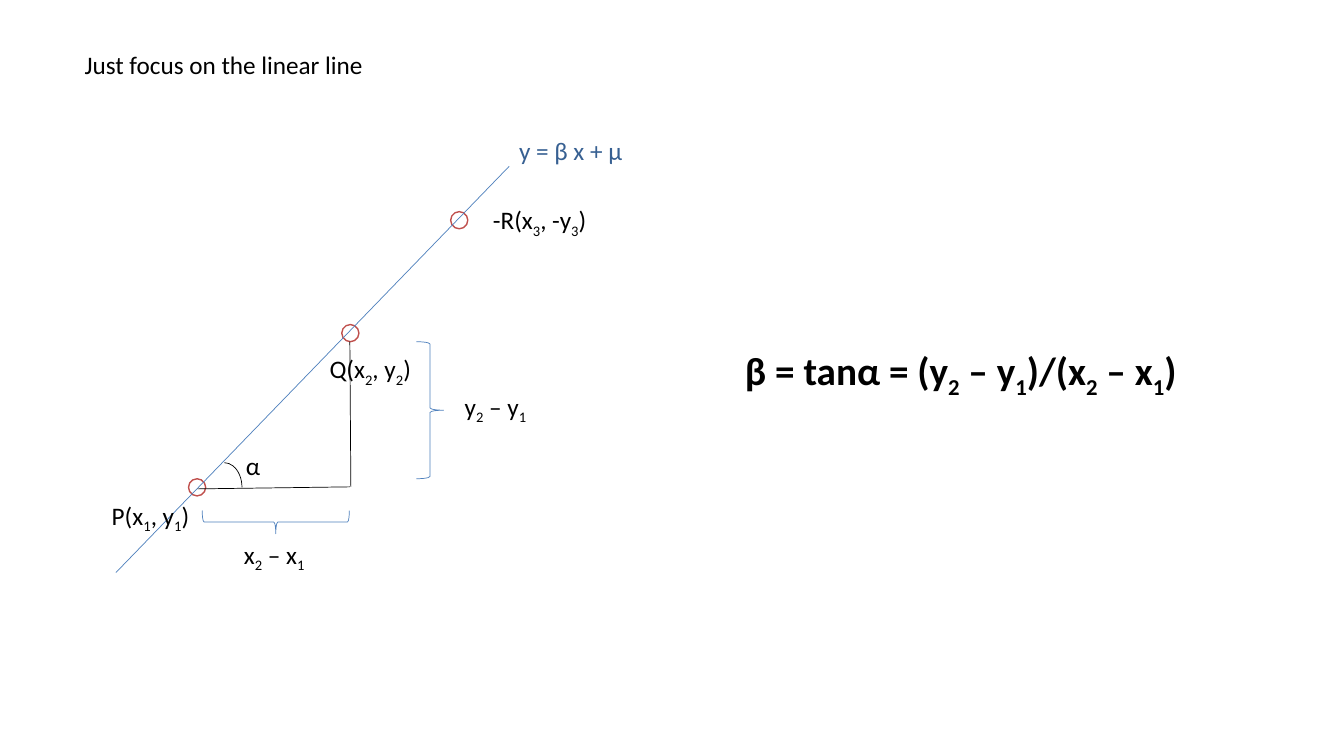
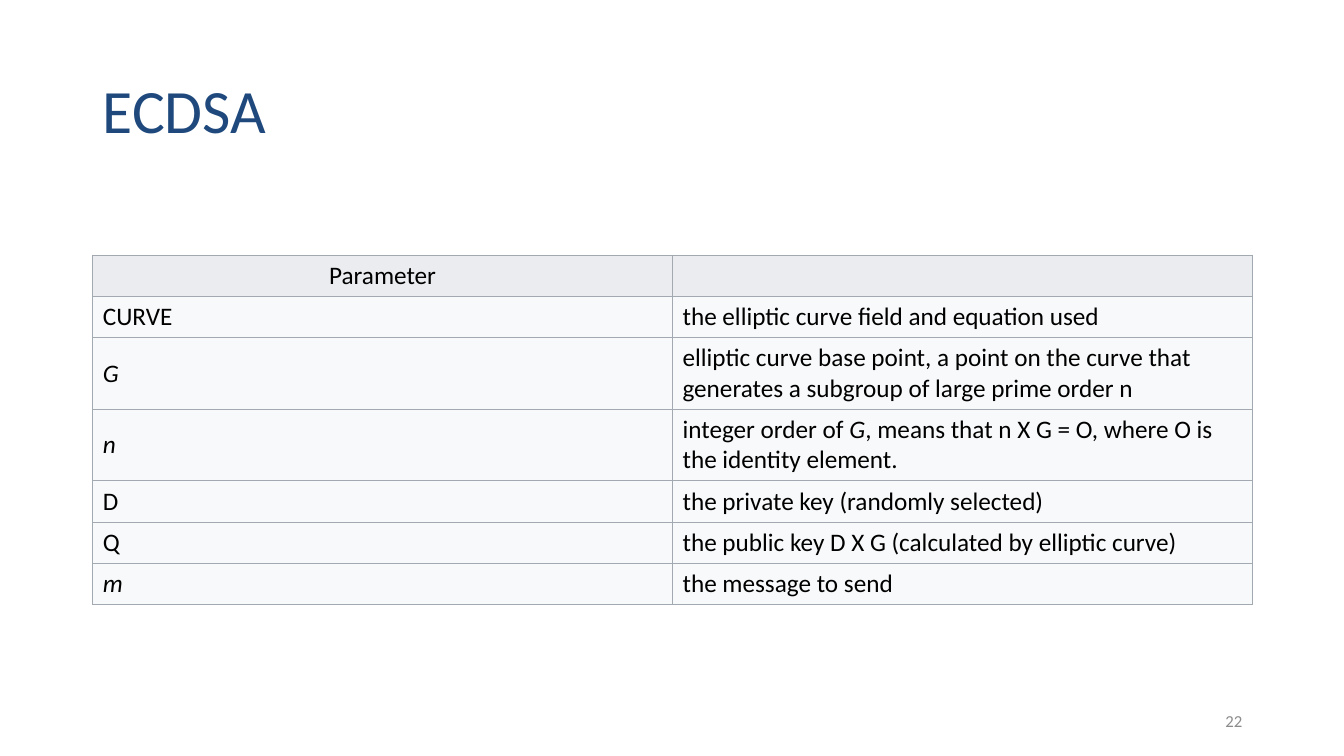
from lxml import etree
from pptx import Presentation
from pptx.dml.color import RGBColor
from pptx.enum.shapes import MSO_CONNECTOR, MSO_SHAPE
from pptx.enum.text import MSO_ANCHOR, PP_ALIGN
from pptx.oxml import parse_xml
from pptx.oxml.ns import nsdecls, qn
from pptx.util import Inches, Pt

LINE = MSO_CONNECTOR.STRAIGHT
OVAL, ARC, BRACE = MSO_SHAPE.OVAL, MSO_SHAPE.ARC, MSO_SHAPE.RIGHT_BRACE
TOP, MIDDLE = MSO_ANCHOR.TOP, MSO_ANCHOR.MIDDLE
LEFT, CENTER, RIGHT = PP_ALIGN.LEFT, PP_ALIGN.CENTER, PP_ALIGN.RIGHT

# Shared style
FONT = "Calibri"
BLACK, BLUE, RED = "000000", "4F81BD", "C0504D"
DEEP, NAVY, GRAY = "376092", "1F497D", "8C8C8C"
HEAD, BODY, EDGE = "EAECF0", "F8F9FA", "A2A9B1"


def color(code):
    return RGBColor.from_string(code)


class Deck:
    def __init__(self):
        self.prs = Presentation()
        self.prs.slide_width = Inches(13.33)
        self.prs.slide_height = Inches(7.5)
        self.slide = None

    def page(self):
        self.slide = self.prs.slides.add_slide(self.prs.slide_layouts[6])

    def runs(self, para, text, size=18, tint=BLACK, bold=False):
        """Mark italics as *text* and a subscript digit as _1."""
        for i, part in enumerate(text.split("*")):
            for j, piece in enumerate(part.split("_")):
                low, rest = (piece[:1], piece[1:]) if j else ("", piece)
                for words, sub in ((low, True), (rest, False)):
                    if not words:
                        continue
                    run = para.add_run()
                    run.text = words
                    font = run.font
                    font.name, font.size, font.bold = FONT, Pt(size), bold
                    font.italic = i % 2 == 1
                    font.color.rgb = color(tint)
                    if sub:
                        run._r.get_or_add_rPr().set("baseline", "-25000")

    def text(self, x, y, w, h, text, wrap=True, anchor=TOP, align=LEFT,
             space=1.0, **style):
        box = self.slide.shapes.add_textbox(
            Inches(x), Inches(y), Inches(w), Inches(h))
        frame = box.text_frame
        frame.word_wrap, frame.vertical_anchor = wrap, anchor
        para = frame.paragraphs[0]
        para.alignment, para.line_spacing = align, space
        self.runs(para, text, **style)

    def title(self, text):
        self.text(0.92, 0.4, 11.5, 1.45, text, anchor=MIDDLE, space=0.9,
                  size=44, tint=NAVY)

    def number(self, text):
        self.text(9.42, 6.95, 3, 0.4, text, anchor=MIDDLE, align=RIGHT,
                  size=12, tint=GRAY)

    def shape(self, kind, x, y, w, h, tint, width=0.5, turn=0):
        item = self.slide.shapes.add_shape(
            kind, Inches(x), Inches(y), Inches(w), Inches(h))
        item.shadow.inherit = False
        item.fill.background()
        item.line.color.rgb = color(tint)
        item.line.width = Pt(width)
        item.rotation = turn

    def line(self, x1, y1, x2, y2, tint):
        item = self.slide.shapes.add_connector(
            LINE, Inches(x1), Inches(y1), Inches(x2), Inches(y2))
        item.line.color.rgb = color(tint)
        item.line.width = Pt(0.5)
        etree.SubElement(item._element.spPr, qn("a:effectLst"))

    def border(self, cell):
        props = cell._tc.get_or_add_tcPr()
        for side in ("lnL", "lnR", "lnT", "lnB"):
            props.append(parse_xml(
                f'<a:{side} {nsdecls("a")} w="{Pt(0.6)}"><a:solidFill>'
                f'<a:srgbClr val="{EDGE}"/></a:solidFill></a:{side}>'))

    def table(self, x, y, w, rows, tall):
        grid = self.slide.shapes.add_table(
            len(rows), len(rows[0]), Inches(x), Inches(y), Inches(w),
            Inches(sum(tall))).table
        grid.first_row = grid.horz_banding = False
        for r, row in enumerate(rows):
            grid.rows[r].height = Inches(tall[r])
            for c, text in enumerate(row):
                cell = grid.cell(r, c)
                self.border(cell)
                cell.fill.solid()
                cell.fill.fore_color.rgb = color(BODY if r else HEAD)
                cell.vertical_anchor = MIDDLE
                para = cell.text_frame.paragraphs[0]
                para.alignment = LEFT if r else CENTER
                self.runs(para, text)


def slope(deck):
    deck.page()
    deck.text(0.74, 0.44, 5.19, 0.4, "Just focus on the linear line")

    # Line and its points
    for x, y in ((1.87, 4.75), (3.39, 3.22), (4.47, 2.1)):
        deck.shape(OVAL, x, y, 0.17, 0.17, RED, 1)
    deck.line(1.15, 5.68, 5.05, 1.65, BLUE)
    deck.text(5.05, 1.29, 1.24, 0.4, "y = β x + μ", wrap=False, tint=DEEP)

    # Triangle and angle
    deck.line(1.96, 4.85, 3.47, 4.83, BLACK)
    deck.line(3.47, 3.39, 3.48, 4.83, BLACK)
    deck.shape(ARC, 2.05, 4.59, 0.35, 0.49, BLACK)
    deck.text(2.34, 4.42, 0.68, 0.4, "α")

    # Braces
    deck.shape(BRACE, 4.13, 3.39, 0.27, 1.36, BLUE)
    deck.shape(BRACE, 2.62, 4.45, 0.23, 1.46, BLUE, turn=90)

    # Labels
    for x, y, label in (
            (1.01, 4.91, "P(x_1, y_1)"),
            (3.17, 3.46, "Q(x_2, y_2)"),
            (4.79, 1.98, "-R(x_3, -y_3)"),
            (4.51, 3.83, "y_2 – y_1"),
            (2.32, 5.3, "x_2 – x_1")):
        deck.text(x, y, 1.42, 0.4, label)
    deck.text(7.29, 3.39, 4.79, 0.57, "β = tanα = (y_2 – y_1)/(x_2 – x_1)",
              wrap=False, size=28, bold=True)


def terms(deck):
    deck.page()
    deck.title("ECDSA")
    rows = [
        ("Parameter", ""),
        ("CURVE", "the elliptic curve field and equation used"),
        ("*G*", "elliptic curve base point, a point on the curve that "
                "generates a subgroup of large prime order n"),
        ("*n*", "integer order of *G*, means that n X G = O, "
                "where O is the identity element."),
        ("D", "the private key (randomly selected)"),
        ("Q", "the public key D X G (calculated by elliptic curve)"),
        ("*m*", "the message to send"),
    ]
    tall = [0.71 if len(row[1]) > 60 else 0.41 for row in rows]
    deck.table(0.92, 2.53, 11.5, rows, tall)
    deck.number("22")


def main():
    deck = Deck()
    slope(deck)
    terms(deck)
    deck.prs.save("out.pptx")


if __name__ == "__main__":
    main()
